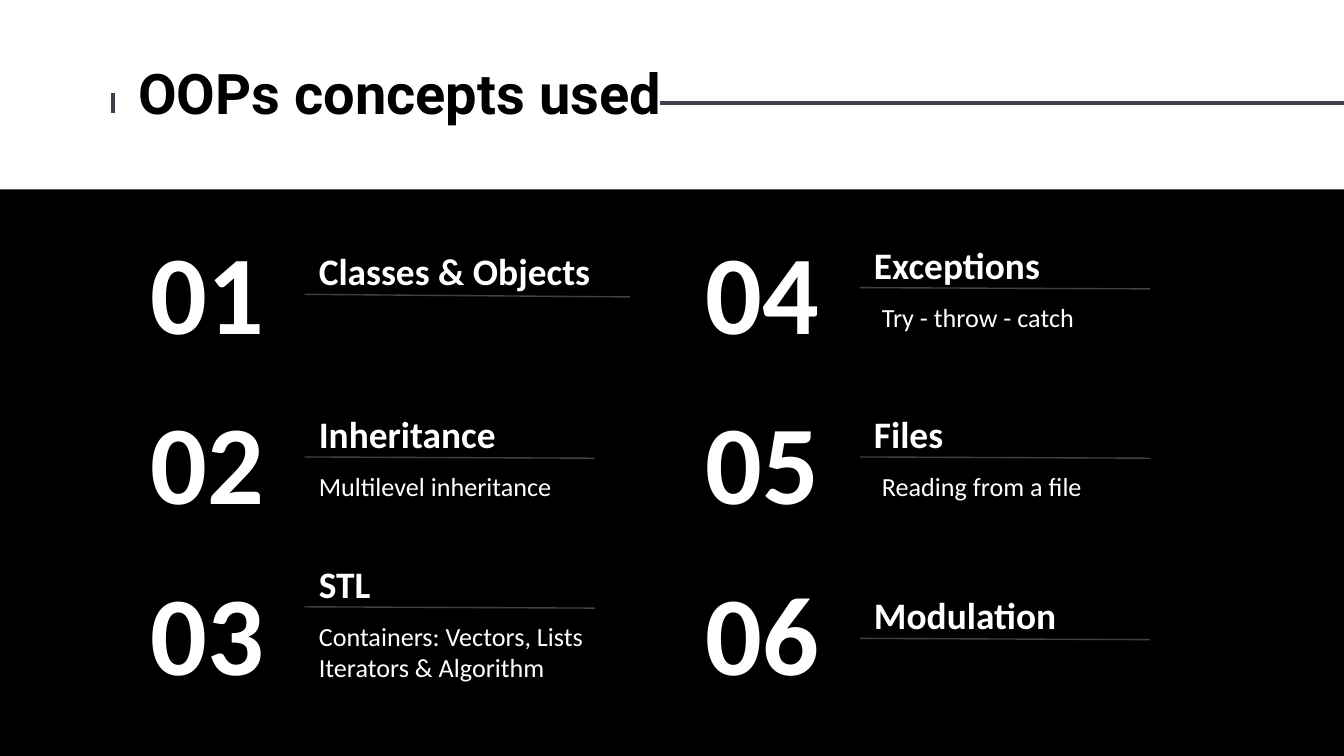
from dataclasses import dataclass

from lxml.etree import SubElement
from pptx import Presentation
from pptx.dml.color import RGBColor
from pptx.enum.shapes import MSO_CONNECTOR as Connector, MSO_SHAPE as Shape
from pptx.enum.text import MSO_ANCHOR as Anchor, MSO_AUTO_SIZE as AutoSize, PP_ALIGN as Align
from pptx.oxml.ns import qn
from pptx.util import Pt


@dataclass(frozen=True)
class Theme:
    black: RGBColor = RGBColor(0, 0, 0)
    white: RGBColor = RGBColor(255, 255, 255)
    rule: RGBColor = RGBColor(0x3D, 0x41, 0x49)
    title_font: str = "Roboto"
    body_font: str = "Calibri"
    title_size: int = 30
    number_size: int = 60
    heading_size: int = 20
    detail_size: int = 14


THEME = Theme()
TITLE_INSETS = (5, 3, 5, 3)
BODY_INSETS = (7.2, 7.2, 7.2, 7.2)
HEADING_HEIGHT = 38.9
RULE_OFFSET = 31.7

COLUMN_LEFTS = (69.1, 366.5)
NUMBER_ROWS = ((122.4, 72.7), (220.3, 66.2), (311.8, 66.2))

# Each column: heading, heading top, rule width, rule drop, detail indent, detail size, detail lines
CONCEPTS = (
    (
        ("Classes & Objects", 126, 174.2, 1.4, 0, None, ()),
        ("Inheritance", 213.1, 155.5, 0.7, 0, (155.5, 31.7), ("Multilevel inheritance",)),
        ("STL", 293.4, 155.5, 0.7, 0, (173.5, 48.2),
         ("Containers: Vectors, Lists", "Iterators & Algorithm")),
    ),
    (
        ("Exceptions", 122.4, 155.5, 0.7, 4.3, (155.5, 31.7), ("Try - throw - catch",)),
        ("Files", 213.1, 155.5, 0.7, 4.3, (155.5, 31.7), ("Reading from a file",)),
        ("Modulation", 310.3, 155.5, 0.7, 4.3, None, ()),
    ),
)


def write_text(shape, lines, font, insets=BODY_INSETS, anchor=Anchor.TOP, align=Align.LEFT,
               spacing=1.0):
    frame = shape.text_frame
    frame.auto_size = AutoSize.NONE
    frame.word_wrap = True
    frame.vertical_anchor = anchor
    for side, inset in zip(("left", "top", "right", "bottom"), insets):
        setattr(frame, f"margin_{side}", Pt(inset))
    for index, line in enumerate(lines):
        para = frame.paragraphs[0] if index == 0 else frame.add_paragraph()
        para.alignment = align
        para.line_spacing = spacing
        para.space_before = Pt(0)
        span = para.add_run()
        span.text = line
        for name, value in font.items():
            if name == "color":
                span.font.color.rgb = value
            else:
                setattr(span.font, name, value)


def body_format(size, bold=False):
    return {"name": THEME.body_font, "size": Pt(size), "bold": bold, "color": THEME.white}


def add_text(page, box, lines, font, **options):
    shape = page.shapes.add_textbox(*map(Pt, box))
    write_text(shape, lines, font, **options)


def add_rule(page, start, end, width):
    rule = page.shapes.add_connector(Connector.STRAIGHT, *map(Pt, (*start, *end)))
    rule.line.color.rgb = THEME.rule
    rule.line.width = Pt(width)
    SubElement(rule._element.spPr, qn("a:effectLst"))


def add_header(page, box, text):
    """Place the title with a tick before it and a long rule after it."""
    left, top, width, height = box
    title = page.shapes.title
    edges = {"left": left, "top": top, "width": width, "height": height}
    for name, value in edges.items():
        setattr(title, name, Pt(value))
    font = {"name": THEME.title_font, "size": Pt(THEME.title_size), "bold": True,
            "color": THEME.black}
    write_text(title, [text], font, TITLE_INSETS, spacing=0.9)
    middle = top + 23
    add_rule(page, (left + 284.4, middle), (725, middle), 2.25)
    add_rule(page, (left - 8.6, middle - 5.6), (left - 8.6, middle + 5.2), 2.25)


def add_panel(page, box):
    panel = page.shapes.add_shape(Shape.RECTANGLE, *map(Pt, box))
    panel.shadow.inherit = False
    panel.fill.solid()
    panel.fill.fore_color.rgb = THEME.black
    panel.line.fill.background()


def add_concept(page, box, number, concept):
    """Place the number in its box, with heading, rule and detail to its right."""
    heading, top, rule_width, drop, indent, detail_size, lines = concept
    add_text(page, box, [f"{number:02}"], body_format(THEME.number_size, True),
             insets=TITLE_INSETS, anchor=Anchor.BOTTOM, align=Align.CENTER, spacing=0.9)
    left = box[0] + 94.6
    rule_top = top + RULE_OFFSET
    add_text(page, (left, top, 165, HEADING_HEIGHT), [heading],
             body_format(THEME.heading_size, True))
    add_rule(page, (left - 0.5, rule_top), (left - 0.5 + rule_width, rule_top + drop), 0.75)
    if lines:
        add_text(page, (left + indent, rule_top, *detail_size), lines,
                 body_format(THEME.detail_size))


def main():
    deck = Presentation()
    deck.slide_width, deck.slide_height = Pt(720), Pt(405)
    page = deck.slides.add_slide(deck.slide_layouts.get_by_name("Title Only"))
    add_panel(page, (-7.2, 101.5, 732.2, 309.6))
    add_header(page, (69.1, 32.4, 589.7, 45.4), "OOPs concepts used")
    number = 0
    for left, column in zip(COLUMN_LEFTS, CONCEPTS):
        for (top, height), concept in zip(NUMBER_ROWS, column):
            number += 1
            add_concept(page, (left, top, 84.2, height), number, concept)
    deck.save("out.pptx")


if __name__ == "__main__":
    main()
